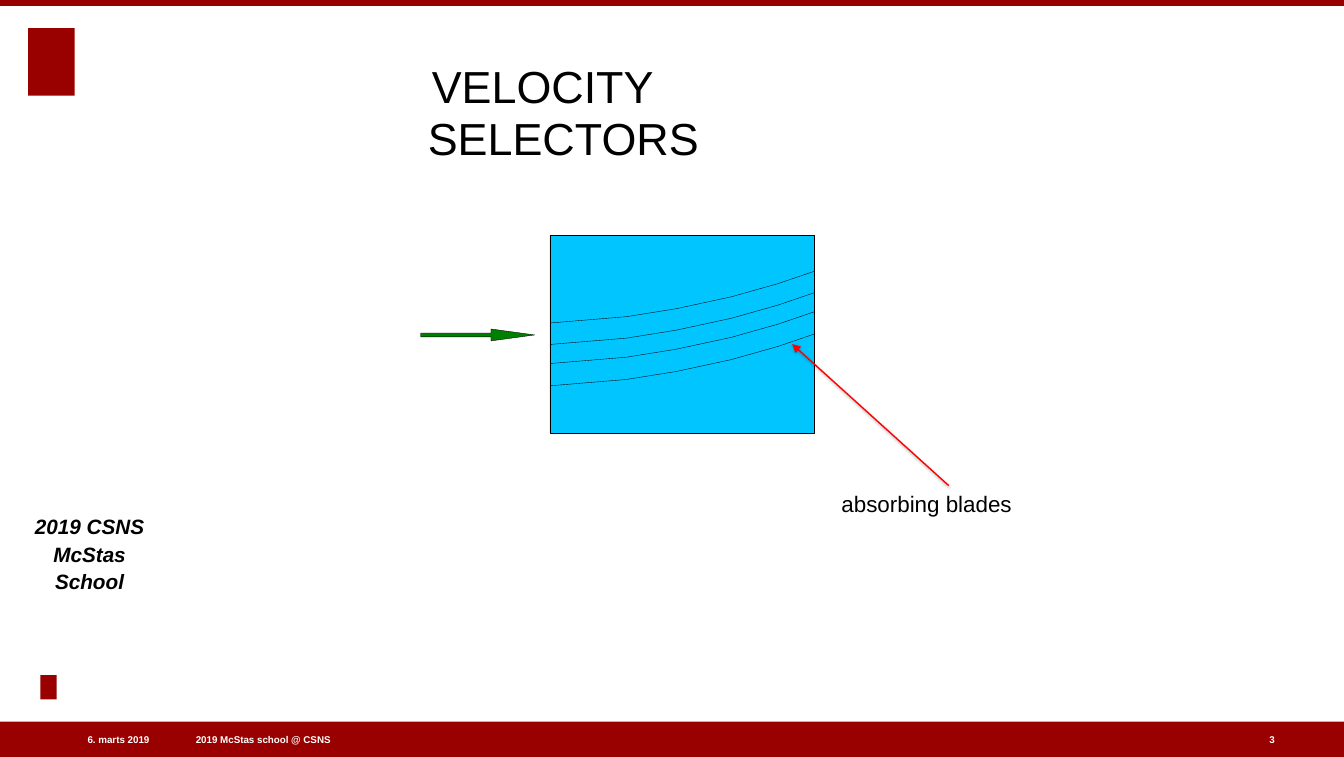
from lxml import etree
from pptx import Presentation
from pptx.dml.color import RGBColor
from pptx.enum.shapes import MSO_CONNECTOR, MSO_SHAPE
from pptx.enum.text import MSO_ANCHOR, PP_ALIGN
from pptx.oxml import parse_xml
from pptx.oxml.ns import nsdecls, qn
from pptx.util import Cm, Pt

RECTANGLE, RIGHT_ARROW = MSO_SHAPE.RECTANGLE, MSO_SHAPE.RIGHT_ARROW
STRAIGHT = MSO_CONNECTOR.STRAIGHT
LEFT, CENTER, RIGHT = PP_ALIGN.LEFT, PP_ALIGN.CENTER, PP_ALIGN.RIGHT
TOP, MIDDLE, BOTTOM = MSO_ANCHOR.TOP, MSO_ANCHOR.MIDDLE, MSO_ANCHOR.BOTTOM

FONT = "Arial"
DARK_RED, RED, GREEN, CYAN = "990000", "FF0000", "008000", "00C5FF"
BLACK, WHITE = "000000", "FFFFFF"
SLIDE_WIDTH, SLIDE_HEIGHT = 33.83, 19.05
HAIRLINE = 0.25

BRAND_BLOCKS = [
    (0, 18.16, SLIDE_WIDTH, 0.89),
    (0, 0, SLIDE_WIDTH, 0.15),
    (0.71, 0.71, 1.17, 1.7),
    (1.02, 16.99, 0.41, 0.61),
]
FOOTER_TOP, FOOTER_HEIGHT = 18.44, 0.36
FOOTERS = [
    ("6. marts 2019", 0.69, 3.07, RIGHT),
    ("2019 McStas school @ CSNS", 4.93, 9.45, LEFT),
    ("3", 31.95, 0.36, LEFT),
]
SELECTOR = (13.84, 5.92, 6.65, 4.98)
BEAM = (10.59, 8.28, 2.87, 0.3)
BEAM_ADJUSTMENTS = (0.32, 3.67)
BLADE_TOPS = [6.83, 7.37, 7.85, 8.41]
BLADE_PROFILE = [(0, 1.3), (1.93, 1.14), (3.18, 0.94), (4.57, 0.64), (5.74, 0.31), (6.65, 0)]
POINTER_START, POINTER_END = (23.88, 12.22), (19.94, 8.66)


def color(hex_string):
    return RGBColor.from_string(hex_string)


def set_line(line, hex_string, width):
    line.color.rgb = color(hex_string)
    line.width = Pt(width)


def add_block(slide, kind, box, fill, outline=None):
    shape = slide.shapes.add_shape(kind, *map(Cm, box))
    shape.shadow.inherit = False
    shape.fill.solid()
    shape.fill.fore_color.rgb = color(fill)
    if outline:
        set_line(shape.line, outline, HAIRLINE)
    else:
        shape.line.fill.background()
    return shape


def add_text(slide, text, box, size, hex_string=BLACK, align=LEFT, anchor=TOP,
             inset=0, wrap=True, bold=False, italic=False, spacing=1.0):
    frame = slide.shapes.add_textbox(*map(Cm, box)).text_frame
    frame.word_wrap = wrap
    frame.vertical_anchor = anchor
    frame.margin_left = frame.margin_right = Cm(inset)
    frame.margin_top = frame.margin_bottom = Cm(inset)
    frame.text = text
    paragraph = frame.paragraphs[0]
    paragraph.alignment = align
    paragraph.line_spacing = spacing
    for run in paragraph.runs:
        font = run.font
        font.name, font.size = FONT, Pt(size)
        font.bold, font.italic = bold, italic
        font.color.rgb = color(hex_string)
    return paragraph


def add_blade(slide, left, top):
    points = [(Cm(left + x), Cm(top + y)) for x, y in BLADE_PROFILE]
    builder = slide.shapes.build_freeform(*points[0])
    builder.add_line_segments(points[1:], close=False)
    blade = builder.convert_to_shape()
    blade.shadow.inherit = False
    blade.fill.background()
    set_line(blade.line, BLACK, HAIRLINE)


def add_pointer(slide):
    pointer = slide.shapes.add_connector(STRAIGHT, *map(Cm, POINTER_START + POINTER_END))
    set_line(pointer.line, RED, 1)
    etree.SubElement(pointer.line._get_or_add_ln(), qn("a:tailEnd"), type="triangle")
    pointer._element.spPr.append(parse_xml(
        f'<a:effectLst {nsdecls("a")}>'
        f'<a:outerShdw blurRad="{Pt(2)}" dist="{Pt(1)}" dir="5400000" rotWithShape="0">'
        f'<a:srgbClr val="{BLACK}"><a:alpha val="35000"/></a:srgbClr>'
        '</a:outerShdw></a:effectLst>'))


def main():
    presentation = Presentation()
    presentation.slide_width, presentation.slide_height = Cm(SLIDE_WIDTH), Cm(SLIDE_HEIGHT)
    slide = presentation.slides.add_slide(presentation.slide_layouts[6])

    for box in BRAND_BLOCKS:
        add_block(slide, RECTANGLE, box, DARK_RED)
    for text, left, width, align in FOOTERS:
        add_text(slide, text, (left, FOOTER_TOP, width, FOOTER_HEIGHT), 7, WHITE,
                 align, MIDDLE, bold=True)
    add_text(slide, "2019 CSNS\vMcStas School", (0.86, 12.93, 2.79, 2.01), 14.8,
             align=CENTER, anchor=BOTTOM, bold=True, italic=True, spacing=1.1)

    add_block(slide, RECTANGLE, SELECTOR, CYAN, BLACK)
    beam = add_block(slide, RIGHT_ARROW, BEAM, GREEN, BLACK)
    for index, value in enumerate(BEAM_ADJUSTMENTS):
        beam.adjustments[index] = value
    for top in BLADE_TOPS:
        add_blade(slide, SELECTOR[0], top)

    title = add_text(slide, "VELOCITY SELECTORS", (10.64, 1.42, 8.2, 2.8), 32,
                     inset=0.13, spacing=0.97)
    title._p.get_or_add_pPr().set("indent", str(Cm(0.1)))
    add_text(slide, "absorbing blades", (21.18, 12.34, 4.5, 0.65), 16, wrap=False)
    add_pointer(slide)
    presentation.save("out.pptx")


if __name__ == "__main__":
    main()
